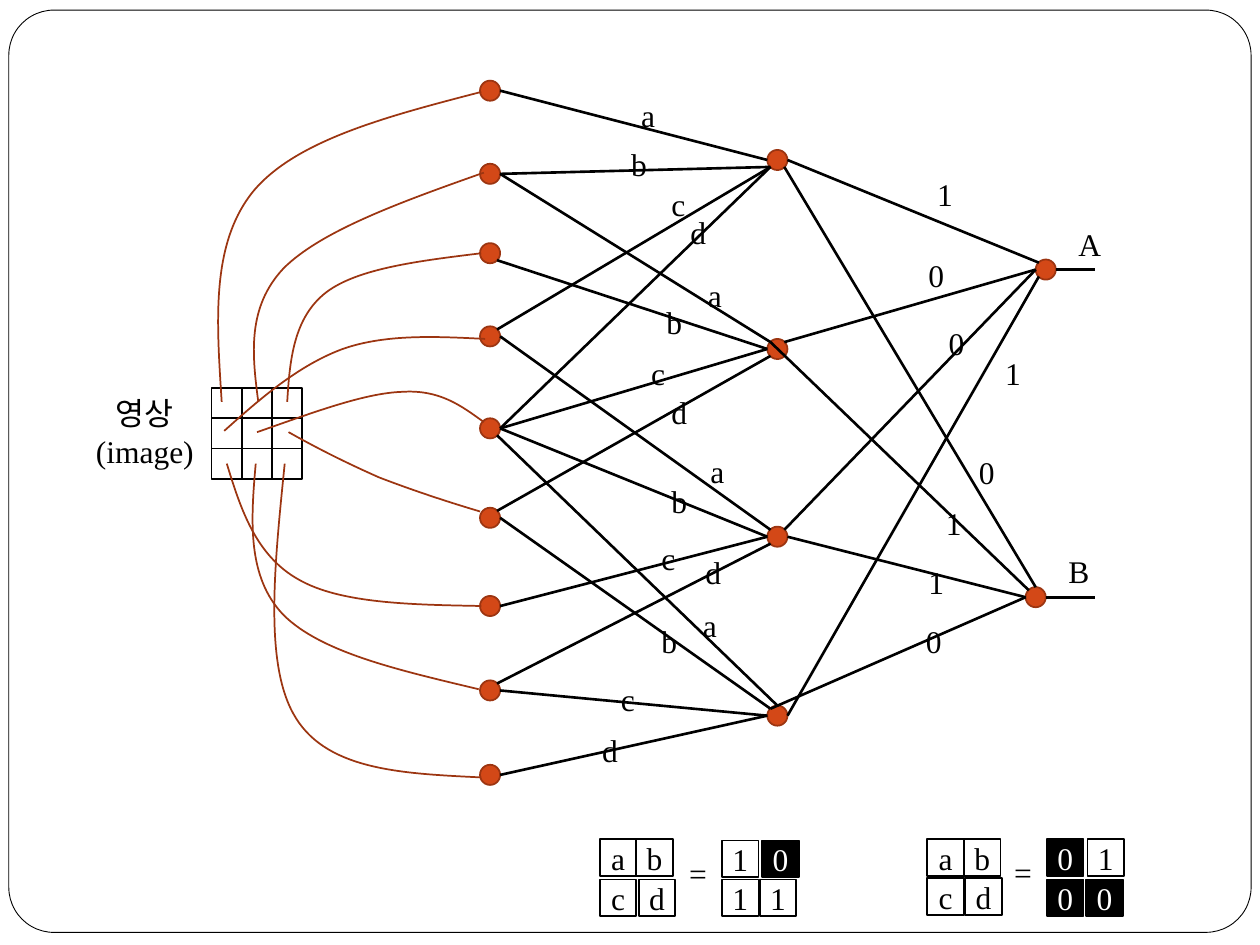
from lxml.etree import SubElement
from pptx import Presentation
from pptx.dml.color import RGBColor
from pptx.enum.shapes import MSO_CONNECTOR, MSO_SHAPE
from pptx.enum.text import MSO_ANCHOR, MSO_AUTO_SIZE, PP_ALIGN
from pptx.oxml.ns import qn
from pptx.util import Inches, Pt

COLOURS = {"ink": "000000", "paper": "FFFFFF", "node": "D34817", "curve": "9C3511"}
NODE_SIZE = 1.6
PORTS = {"N": (0, -0.8), "E": (0.8, 0), "S": (0, 0.8), "W": (-0.8, 0),
         "NE": (0.55, -0.55), "SE": (0.55, 0.55),
         "SW": (-0.55, 0.55), "NW": (-0.55, -0.55)}
LABEL_WIDTHS = {"a": 3.3, "b": 3.5, "c": 3.2, "d": 3.5, "A": 3.7, "B": 3.5, "=": 3.8}

INPUT_ROWS = [7.2, 13.8, 20.1, 26.7, 34.0, 41.1, 48.1, 54.8, 61.5]
HIDDEN_ROWS = [12.7, 27.7, 42.6, 56.8]
NODES = {f"in{i}": (38.9, row) for i, row in enumerate(INPUT_ROWS, 1)}
NODES |= {f"hid{i}": (61.7, row) for i, row in enumerate(HIDDEN_ROWS, 1)}
NODES |= {"A": (83.0, 21.4), "B": (82.2, 47.4)}

# start node, its port, end node, its port
EDGES = """
in1 E hid1 W | in2 E hid1 SW | in4 NE hid1 SW | in5 E hid1 SW
in2 E hid2 NW | in3 SE hid2 W | in5 E hid2 W | in6 NE hid2 SW
in4 E hid3 NW | in5 E hid3 W | in7 E hid3 W | in8 NE hid3 SW
in5 SE hid4 N | in6 E hid4 NW | in8 E hid4 W | in9 E hid4 W
hid1 E A NW | hid2 NE A W | hid3 NE A W | hid4 E A SW
hid1 SE B N | hid2 NW B NW | hid3 E B W | hid4 NW B W
"""

# start point, then two Bézier segments of three points each
CURVES = [
    [(17.6, 31.9), (17.2, 25.6), (16.7, 19.4), (20.1, 15.2), (23.5, 11.1), (30.9, 9.2), (38.2, 7.3)],
    [(20.5, 31.9), (20, 28.1), (19.6, 24.4), (22.5, 21.3), (25.5, 18.3), (31.9, 16), (38.4, 13.7)],
    [(22.8, 31.9), (23, 28.6), (23.3, 25.2), (25.9, 23.2), (28.4, 21.3), (33.3, 20.7), (38.2, 20.1)],
    [(17.8, 34.2), (20.7, 31.6), (23.7, 29), (27.2, 27.7), (30.6, 26.5), (34.6, 26.7), (38.5, 26.9)],
    [(20.4, 34.3), (24.7, 32.8), (28.9, 31.2), (31.9, 31.1), (34.9, 30.9), (36.6, 32.2), (38.4, 33.5)],
    [(22.9, 34.3), (25.2, 35.6), (27.6, 36.8), (30.1, 37.9), (32.7, 38.9), (35.4, 39.8), (38.1, 40.6)],
    [(18, 36.8), (19.1, 40.4), (20.3, 44.1), (23.7, 46), (27, 47.9), (32.6, 48), (38.2, 48.1)],
    [(20.3, 36.8), (19.9, 41.3), (19.6, 45.8), (22.5, 48.8), (25.5, 51.8), (31.7, 53.2), (38, 54.7)],
    [(22.6, 36.8), (21.8, 44.8), (20.9, 52.9), (23.5, 57), (26.1, 61.2), (32.2, 61.4), (38.2, 61.7)],
]

LABELS = {
    "a": [(49.9, 7.1), (55.2, 21.4), (55.4, 35.4), (54.8, 47.6)],
    "b": [(49.1, 11), (51.9, 23.6), (52.3, 37.8), (51.5, 48.9)],
    "c": [(52.3, 14.2), (50.7, 27.6), (51.5, 42.3), (48.3, 53.5)],
    "d": [(53.8, 16.4), (52.3, 30.7), (55, 43.4), (46.8, 57.5)],
    "0": [(72.7, 19.8), (74.3, 25.2), (76.7, 35.5), (72.5, 48.9)],
    "1": [(73.4, 13.4), (78.8, 27.6), (74.1, 39.5), (72.7, 44.2)],
    "A": [(84.6, 17.4)],
    "B": [(83.8, 43.3)],
    "=": [(53.7, 67.3), (79.5, 67.2)],
}

# left, top, rows of text, column step of each row, row step
MOSAICS = [
    (47.6, 66.6, ("ab", "cd"), (2.9, 3.1), 3.2),
    (73.6, 66.6, ("ab", "cd"), (2.9, 3.0), 3.1),
    (57.3, 66.7, ("10", "11"), (3.2, 3.0), 3.1),
    (83.1, 66.6, ("01", "00"), (3.2, 3.1), 3.2),
]


class Sketch:
    """Draws on one slide, measured in a grid of 100 columns by 75 rows."""

    font, size = "Times New Roman", 18

    def __init__(self, deck):
        self.page = deck.slides.add_slide(deck.slide_layouts[6])
        self.cell = deck.slide_width // 100

    def grid(self, *lengths):
        return [round(length * self.cell) for length in lengths]

    def colour(self, name):
        return RGBColor.from_string(COLOURS[name])

    def outline(self, shape, colour, width):
        shape.line.color.rgb = self.colour(colour)
        shape.line.width = Pt(width)

    def set_text(self, shape, text, *, colour="ink", align=PP_ALIGN.LEFT):
        frame = shape.text_frame
        for index, line in enumerate(text.split("\n")):
            para = frame.add_paragraph() if index else frame.paragraphs[0]
            para.alignment = align
            span = para.add_run()
            span.text = line
            span.font.name, span.font.size = self.font, Pt(self.size)
            span.font.color.rgb = self.colour(colour)

    def shape(self, kind, *place, fill="paper", line="ink", width=1):
        box = self.page.shapes.add_shape(kind, *self.grid(*place))
        box.shadow.inherit = False
        box.fill.solid()
        box.fill.fore_color.rgb = self.colour(fill)
        self.outline(box, line, width)
        return box

    def tile(self, left, top, text):
        fill, ink = ("ink", "paper") if text == "0" else ("paper", "ink")
        box = self.shape(MSO_SHAPE.RECTANGLE, left, top, 2.9, 2.9, fill=fill)
        frame = box.text_frame
        frame.margin_left = frame.margin_right = frame.margin_top = frame.margin_bottom = 0
        frame.vertical_anchor = MSO_ANCHOR.MIDDLE
        self.set_text(box, text, colour=ink, align=PP_ALIGN.CENTER)

    def label(self, text, *place, align=PP_ALIGN.LEFT):
        box = self.page.shapes.add_textbox(*self.grid(*place))
        box.text_frame.word_wrap = False
        box.text_frame.auto_size = MSO_AUTO_SIZE.SHAPE_TO_FIT_TEXT
        self.set_text(box, text, align=align)

    def line(self, start, end):
        connector = self.page.shapes.add_connector(
            MSO_CONNECTOR.STRAIGHT, *self.grid(*start, *end))
        self.outline(connector, "ink", 1.5)
        SubElement(connector._element.spPr, qn("a:effectLst"))

    def curve(self, points):
        """Draw through every third point; those between are Bézier handles."""
        points = [(round(x * 10), round(y * 10)) for x, y in points]
        anchors = points[::3]
        builder = self.page.shapes.build_freeform(*anchors[0], scale=self.cell / 10)
        builder.add_line_segments(anchors[1:], close=False)
        shape = builder.convert_to_shape()
        shape.shadow.inherit = False
        shape.fill.background()
        self.outline(shape, "curve", 1)
        left, top = (min(values) for values in zip(*anchors))
        for index, segment in enumerate(list(shape._element.iter(qn("a:lnTo")))):
            bezier = SubElement(segment.getparent(), qn("a:cubicBezTo"))
            for x, y in points[3 * index + 1:3 * index + 4]:
                SubElement(bezier, qn("a:pt"), x=str(x - left), y=str(y - top))
            segment.getparent().remove(segment)


def port(node, side):
    return tuple(centre + shift for centre, shift in zip(NODES[node], PORTS[side]))


def main():
    deck = Presentation()
    deck.slide_width, deck.slide_height = Inches(10), Inches(7.5)
    sketch = Sketch(deck)

    frame = sketch.shape(MSO_SHAPE.ROUNDED_RECTANGLE, 0.7, 0.8, 98.6, 73.2, width=0.5)
    frame.adjustments[0] = 0.049

    for left, top, rows, steps, row_step in MOSAICS:
        for row, (text, step) in enumerate(zip(rows, steps)):
            for column, letter in enumerate(text):
                sketch.tile(left + column * step, top + row * row_step, letter)

    for index in range(9):
        row, column = divmod(index, 3)
        sketch.shape(MSO_SHAPE.RECTANGLE, 16.8 + 2.4 * column, 30.8 + 2.4 * row, 2.4, 2.4)

    for x, y in NODES.values():
        sketch.shape(MSO_SHAPE.OVAL, x - NODE_SIZE / 2, y - NODE_SIZE / 2,
                     NODE_SIZE, NODE_SIZE, fill="node", line="curve")

    for points in CURVES:
        sketch.curve(points)
    for edge in EDGES.strip().replace("\n", "|").split("|"):
        start, start_side, end, end_side = edge.split()
        sketch.line(port(start, start_side), port(end, end_side))
    for output in "AB":
        start = port(output, "E")
        sketch.line(start, (86.9, start[1]))

    for text, places in LABELS.items():
        for left, top in places:
            sketch.label(text, left, top, LABEL_WIDTHS.get(text, 3.4), 4)
    sketch.label("영상\n(image)", 6.2, 30.8, 10.6, 7.1, align=PP_ALIGN.CENTER)

    deck.save("out.pptx")


if __name__ == "__main__":
    main()
